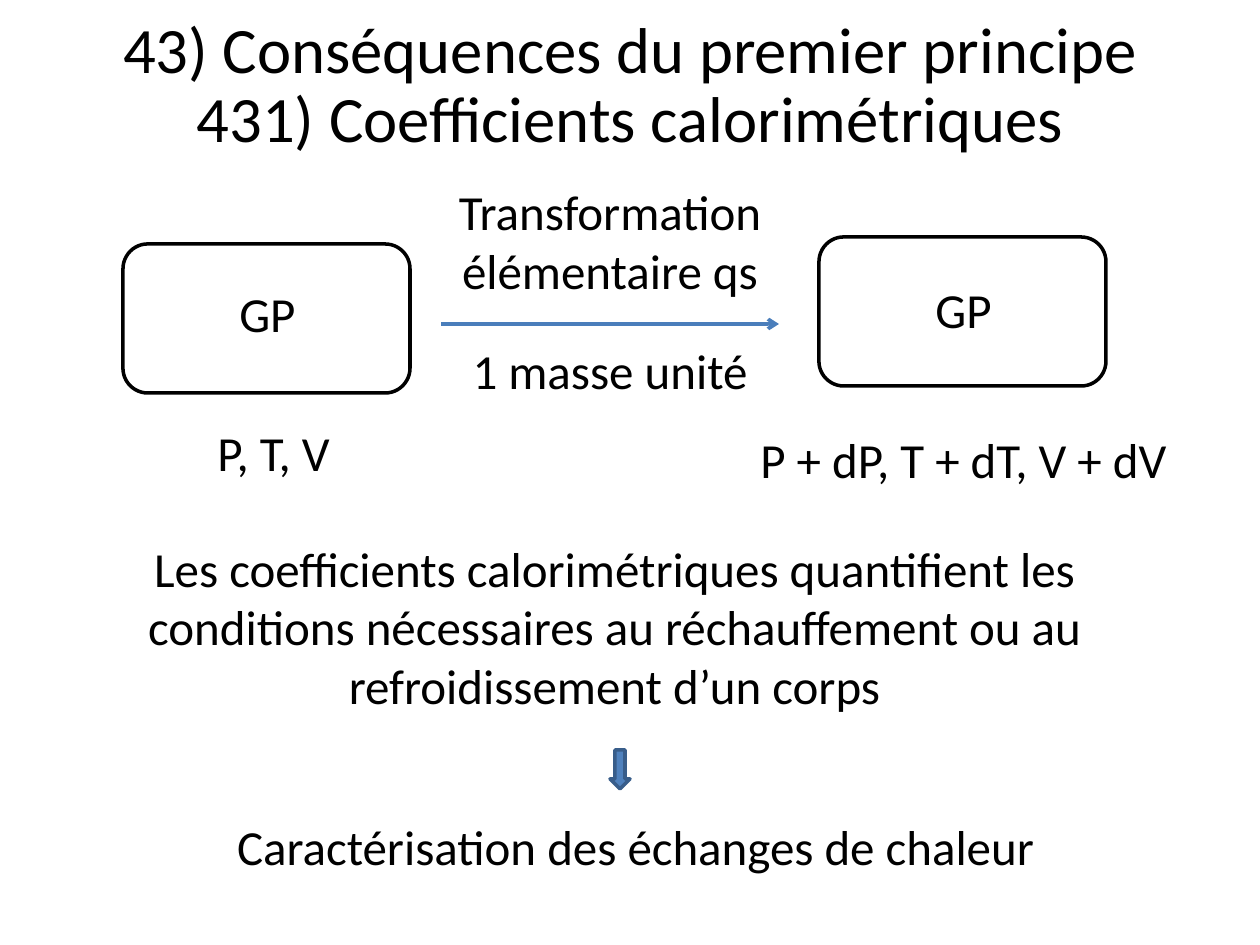
from lxml.etree import SubElement
from pptx import Presentation
from pptx.dml.color import RGBColor
from pptx.enum.shapes import MSO_CONNECTOR, MSO_SHAPE
from pptx.enum.text import MSO_ANCHOR, PP_ALIGN
from pptx.oxml.ns import qn
from pptx.util import Inches, Pt

PX_PER_INCH = 126
BLACK = RGBColor(0x00, 0x00, 0x00)
LINE_BLUE = RGBColor(0x4A, 0x7E, 0xBB)
FILL_BLUE = RGBColor(0x4F, 0x81, 0xBD)
EDGE_BLUE = RGBColor(0x38, 0x5D, 0x8A)


def px(length):
    return Inches(length / PX_PER_INCH)


def add_text(slide, box, lines, size=28, align=PP_ALIGN.CENTER,
             anchor=MSO_ANCHOR.TOP, spacing=1.0):
    frame = slide.shapes.add_textbox(*map(px, box)).text_frame
    frame.word_wrap = True
    frame.vertical_anchor = anchor
    frame.text = "\n".join(lines)
    for paragraph in frame.paragraphs:
        paragraph.alignment = align
        paragraph.line_spacing = spacing
        paragraph.font.name = "Calibri"
        paragraph.font.size = Pt(size)
        paragraph.font.color.rgb = BLACK


def add_outlined(slide, preset, box, color):
    shape = slide.shapes.add_shape(preset, *map(px, box))
    shape.shadow.inherit = False
    shape.line.color.rgb = color
    shape.line.width = Pt(2)
    return shape


def add_title(slide, box):
    add_text(slide, box,
             ["43) Conséquences du premier principe",
              "431) Coefficients calorimétriques"],
             size=37, anchor=MSO_ANCHOR.MIDDLE, spacing=0.9)


def add_gas_state(slide, box, label_drop, variables, variables_box, align):
    """Draw a gas box with its label; variables_box is relative to the box."""
    left, top, width, height = box
    vessel = add_outlined(slide, MSO_SHAPE.ROUNDED_RECTANGLE, box, BLACK)
    vessel.fill.background()
    add_text(slide, (left + 50, top + label_drop, width - 98, 72), ["GP"])
    dx, dy, caption_width, caption_height = variables_box
    add_text(slide, (left + dx, top + dy, caption_width, caption_height),
             [variables], align=align)


def add_transformation(slide, box):
    left, top, width, height = box
    axis = top + 149
    arrow = slide.shapes.add_connector(
        MSO_CONNECTOR.STRAIGHT, px(left), px(axis), px(left + width), px(axis))
    arrow.line.color.rgb = LINE_BLUE
    arrow.line.width = Pt(2)
    SubElement(arrow.line._get_or_add_ln(), qn("a:tailEnd"), type="arrow")
    SubElement(arrow._element.spPr, qn("a:effectLst"))
    add_text(slide, (left, top, width, 131), ["Transformation élémentaire qs"])
    add_text(slide, (left, top + height - 72, width, 72), ["1 masse unité"])


def add_conclusion(slide, box):
    left, top, width, height = box
    add_text(slide, (left, top, width, 189),
             ["Les coefficients calorimétriques quantifient les conditions "
              "nécessaires au réchauffement ou au refroidissement d’un corps"])
    arrow = add_outlined(slide, MSO_SHAPE.DOWN_ARROW,
                         (left + 487, top + 218, 20, 39), EDGE_BLUE)
    arrow.fill.solid()
    arrow.fill.fore_color.rgb = FILL_BLUE
    add_text(slide, (left + 21, top + height - 72, width, 72),
             ["Caractérisation des échanges de chaleur"])


def main():
    presentation = Presentation()
    presentation.slide_width = px(1260)
    presentation.slide_height = px(945)
    slide = presentation.slides.add_slide(presentation.slide_layouts[6])
    add_title(slide, (63, 8, 1134, 158))
    add_gas_state(slide, (123, 244, 287, 149), 33,
                  "P, T, V", (51, 172, 199, 72), PP_ALIGN.CENTER)
    add_transformation(slide, (441, 175, 338, 231))
    add_gas_state(slide, (819, 237, 287, 149), 36,
                  "P + dP, T + dT, V + dV", (-71, 186, 456, 72), PP_ALIGN.LEFT)
    add_conclusion(slide, (123, 532, 983, 350))
    presentation.save("out.pptx")


if __name__ == "__main__":
    main()
